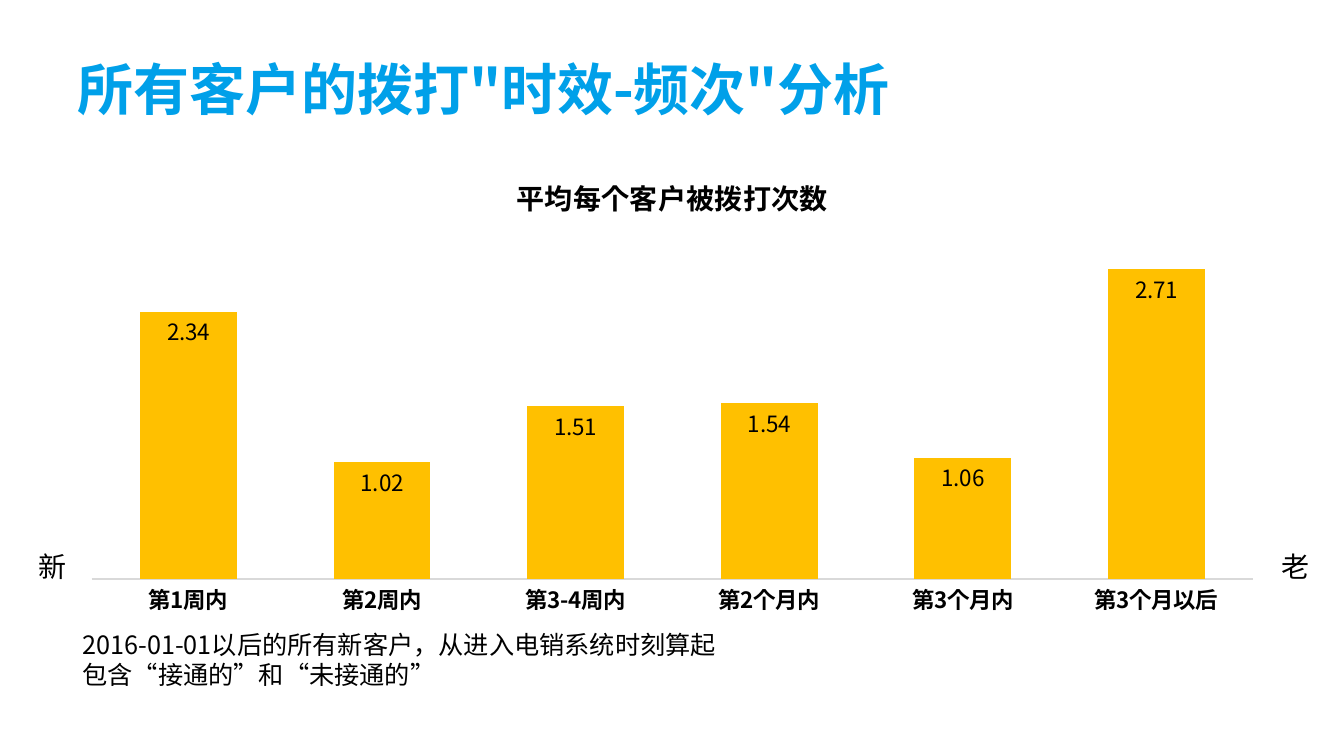
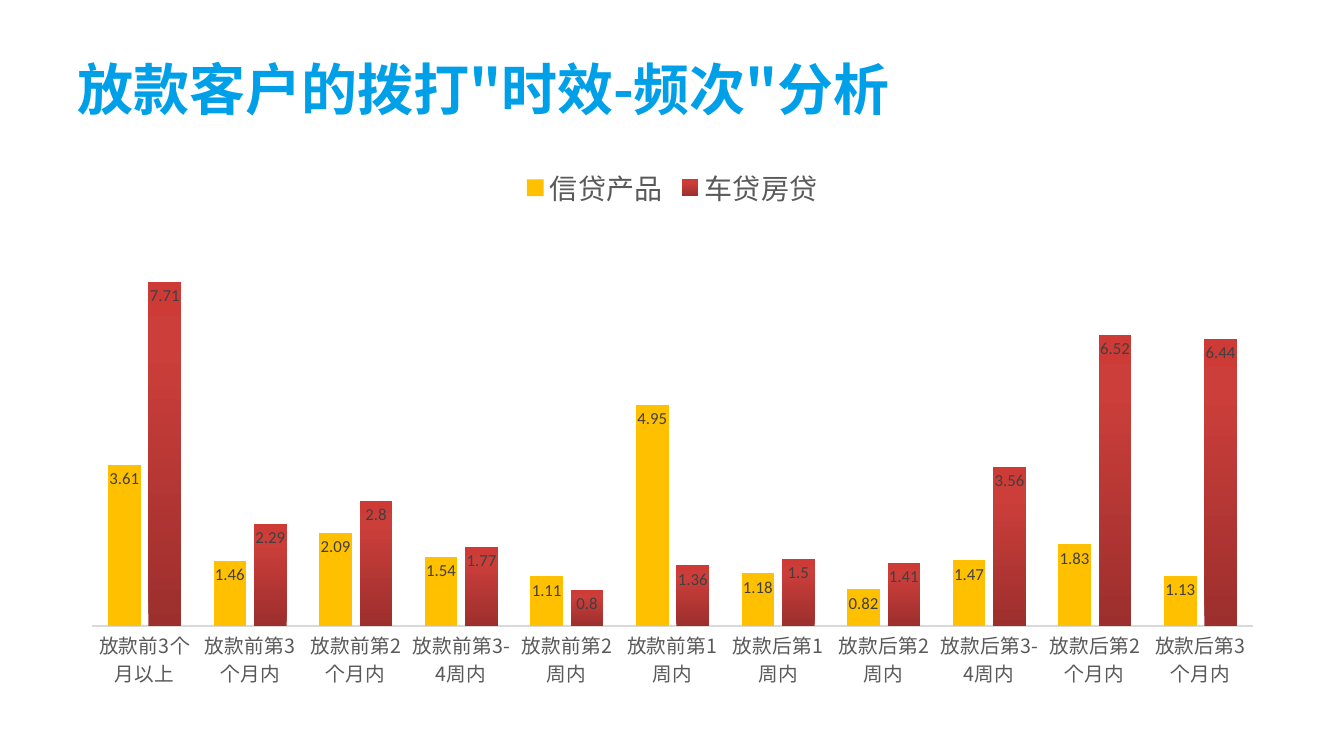
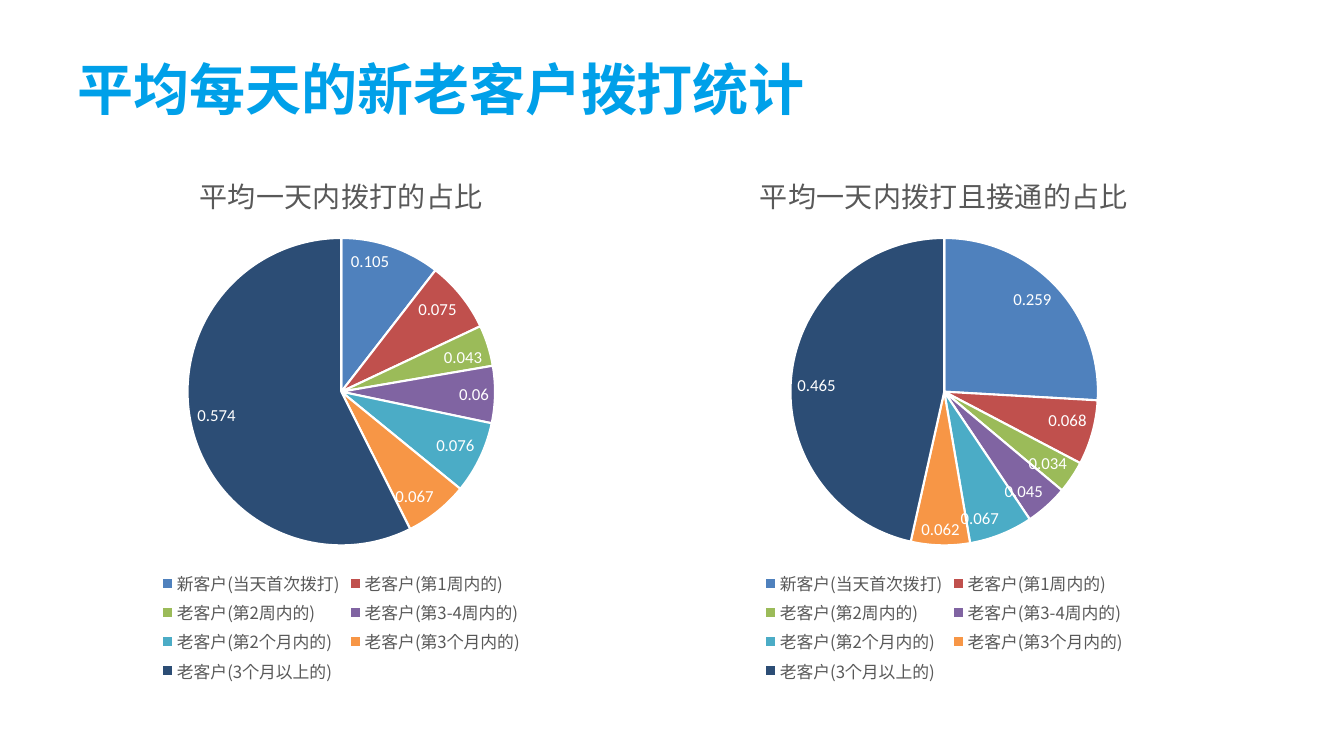
from copy import deepcopy
from dataclasses import dataclass
from typing import Any

from pptx import Presentation
from pptx.chart.data import CategoryChartData
from pptx.dml.color import RGBColor
from pptx.enum.chart import XL_CHART_TYPE, XL_LABEL_POSITION, XL_LEGEND_POSITION, XL_TICK_MARK
from pptx.enum.text import MSO_ANCHOR
from pptx.oxml.ns import qn
from pptx.util import Emu, Pt

COLUMN, PIE = XL_CHART_TYPE.COLUMN_CLUSTERED, XL_CHART_TYPE.PIE
TOP, BOTTOM = XL_LEGEND_POSITION.TOP, XL_LEGEND_POSITION.BOTTOM
INSIDE = XL_LABEL_POSITION.INSIDE_END
NO_TICK = XL_TICK_MARK.NONE
MIDDLE = MSO_ANCHOR.MIDDLE

PX = 9144  # 100 px to the inch
HEAD, HAN, LATIN = "Noto Sans CJK SC", "Noto Sans CJK JP", "Calibri"
BLUE, BLACK, GRAY, DARK, WHITE = "00A0E9", "000000", "595959", "404040", "FFFFFF"
RULE, GOLD = "D9D9D9", "FFC000"
REDS = ((0, "9C2F2D"), (0.8, "CB3E3A"), (1, "CE3B37"))
SLICES = ("4F81BD", "C0504D", "9BBB59", "8064A2", "4BACC6", "F79646", "2C4D75")

Box = tuple[int, int, int, int]


@dataclass(frozen=True)
class Face:
    size: int
    color: str = BLACK
    name: str = HAN
    bold: bool = False


@dataclass(frozen=True)
class Graph:
    box: Box
    cats: list[str]
    rows: dict[str, list[float]]
    label: Face
    title: str = ""
    head: Face = Face(20, GRAY)
    tick: Face = Face(14, GRAY)
    key: Face = Face(20, GRAY)
    legend: Any = None
    peak: int = 0


# Helpers
def rgb(code: str) -> RGBColor:
    return RGBColor.from_string(code)


def put(item: Any, values: dict[str, Any]) -> None:
    for name, value in values.items():
        setattr(item, name, value)


def style(font: Any, face: Face) -> None:
    put(font, {"size": Pt(face.size), "name": face.name, "bold": face.bold})
    font.color.rgb = rgb(face.color)


def widen(root: Any) -> None:
    """Use each Latin typeface for East Asian text too."""
    for latin in list(root.iter(qn("a:latin"))):
        latin.addnext(latin.makeelement(qn("a:ea"), {"typeface": latin.get("typeface")}))


def paint(form: Any, color: str) -> None:
    form.fill.solid()
    form.fill.fore_color.rgb = rgb(color)


def blend(form: Any, stops: tuple[tuple[float, str], ...]) -> None:
    fill = form.fill
    fill.gradient()
    fill.gradient_angle = 90
    first = next(form.element.iter(qn("a:gs")))
    for _ in range(len(stops) - len(fill.gradient_stops)):
        first.addnext(deepcopy(first))
    for stop, (place, color) in zip(fill.gradient_stops, stops):
        stop.position = place
        stop.color.rgb = rgb(color)


# Text
def write(slide: Any, box: Box, text: str, face: Face, wrap: bool = True) -> Any:
    shape = slide.shapes.add_textbox(*(Emu(n * PX) for n in box))
    frame = shape.text_frame
    put(frame, {"word_wrap": wrap, "text": text})
    for para in frame.paragraphs:
        for run in para.runs:
            style(run.font, face)
    widen(shape.element)
    return frame


def page(deck: Any, title: str) -> Any:
    slide = deck.slides.add_slide(deck.slide_layouts[6])
    frame = write(slide, (67, 36, 1200, 102), title, Face(40, BLUE, HEAD, True))
    frame.vertical_anchor = MIDDLE
    return slide


# Charts
def plot(slide: Any, kind: Any, graph: Graph) -> Any:
    """Draw what columns and pies have in common."""
    data = CategoryChartData()
    data.categories = graph.cats
    for name, vals in graph.rows.items():
        data.add_series(name, vals)
    chart = slide.shapes.add_chart(kind, *(Emu(n * PX) for n in graph.box), data).chart
    style(chart.font, Face(10, BLACK, LATIN))
    put(chart, {"has_title": bool(graph.title), "has_legend": graph.legend is not None})
    if graph.title:
        frame = chart.chart_title.text_frame
        frame.text = graph.title
        style(frame.paragraphs[0].runs[0].font, graph.head)
    if chart.has_legend:
        put(chart.legend, {"position": graph.legend, "include_in_layout": False})
        style(chart.legend.font, graph.key)
    for row in chart.plots[0].series:
        put(row.data_labels, {"show_value": True, "position": INSIDE})
        style(row.data_labels.font, graph.label)
    return chart


def columns(slide: Any, graph: Graph) -> None:
    chart = plot(slide, COLUMN, graph)
    body = chart.plots[0]
    put(body, {"gap_width": 100, "overlap": -24, "vary_by_categories": False})
    put(chart.value_axis, {"visible": False, "has_major_gridlines": False,
                           "minimum_scale": 0, "maximum_scale": graph.peak})
    axis = chart.category_axis
    put(axis, {"major_tick_mark": NO_TICK, "minor_tick_mark": NO_TICK})
    style(axis.tick_labels.font, graph.tick)
    line = axis.format.line
    line.width = Pt(1)
    line.color.rgb = rgb(RULE)
    for row, color in zip(body.series, (GOLD, REDS)):
        row.invert_if_negative = False
        if isinstance(color, str):
            paint(row.format, color)
        else:
            blend(row.format, color)
    widen(chart.element)


def pie(slide: Any, graph: Graph) -> None:
    chart = plot(slide, PIE, graph)
    body = chart.plots[0]
    body.vary_by_categories = True
    for i, color in enumerate(SLICES):
        form = body.series[0].points[i].format
        paint(form, color)
        form.line.width = Pt(1.5)
        form.line.color.rgb = rgb(WHITE)
    widen(chart.element)


# Slides
def all_calls(deck: Any) -> None:
    slide = page(deck, "所有客户的拨打\"时效-频次\"分析")
    title = "平均每个客户被拨打次数"
    spans = ["第1周内", "第2周内", "第3-4周内", "第2个月内", "第3个月内", "第3个月以后"]
    columns(slide, Graph(
        (67, 153, 1200, 466), spans, {title: [2.34, 1.02, 1.51, 1.54, 1.06, 2.71]},
        Face(16), title, head=Face(20, bold=True), tick=Face(16, bold=True), peak=3))
    note = "2016-01-01以后的所有新客户，从进入电销系统时刻算起\n包含“接通的”和“未接通的”"
    write(slide, (72, 619, 1167, 71), note, Face(18))
    for left, text in ((28, "新"), (1261, "老")):
        write(slide, (left, 540, 44, 44), text, Face(20), wrap=False)


def loan_calls(deck: Any) -> None:
    slide = page(deck, "放款客户的拨打\"时效-频次\"分析")
    spans = ["第3个月内", "第2个月内", "第3-4周内", "第2周内", "第1周内"]
    cats = ["放款前3个月以上", *("放款前" + s for s in spans),
            *("放款后" + s for s in reversed(spans))]
    rows = {
        "信贷产品": [3.61, 1.46, 2.09, 1.54, 1.11, 4.95, 1.18, 0.82, 1.47, 1.83, 1.13],
        "车贷房贷": [7.71, 2.29, 2.8, 1.77, 0.8, 1.36, 1.5, 1.41, 3.56, 6.52, 6.44],
    }
    columns(slide, Graph((67, 153, 1200, 539), cats, rows, Face(12, DARK, LATIN),
                         legend=TOP, peak=9))


def day_calls(deck: Any) -> None:
    slide = page(deck, "平均每天的新老客户拨打统计")
    spans = ["第1周内", "第2周内", "第3-4周内", "第2个月内", "第3个月内", "3个月以上"]
    cats = ["新客户(当天首次拨打)", *(f"老客户({s}的)" for s in spans)]
    shares = {
        "平均一天内拨打的占比": [0.105, 0.075, 0.043, 0.06, 0.076, 0.067, 0.574],
        "平均一天内拨打且接通的占比": [0.259, 0.068, 0.034, 0.045, 0.067, 0.062, 0.465],
    }
    for i, (title, vals) in enumerate(shares.items()):
        pie(slide, Graph((84 + 598 * i, 149, 509, 533), cats, {title: vals},
                         Face(12, WHITE, LATIN), title, key=Face(12, GRAY), legend=BOTTOM))


def main() -> None:
    deck = Presentation()
    put(deck, {"slide_width": Emu(1333 * PX), "slide_height": Emu(750 * PX)})
    for build in (all_calls, loan_calls, day_calls):
        build(deck)
    deck.save("out.pptx")


if __name__ == "__main__":
    main()
